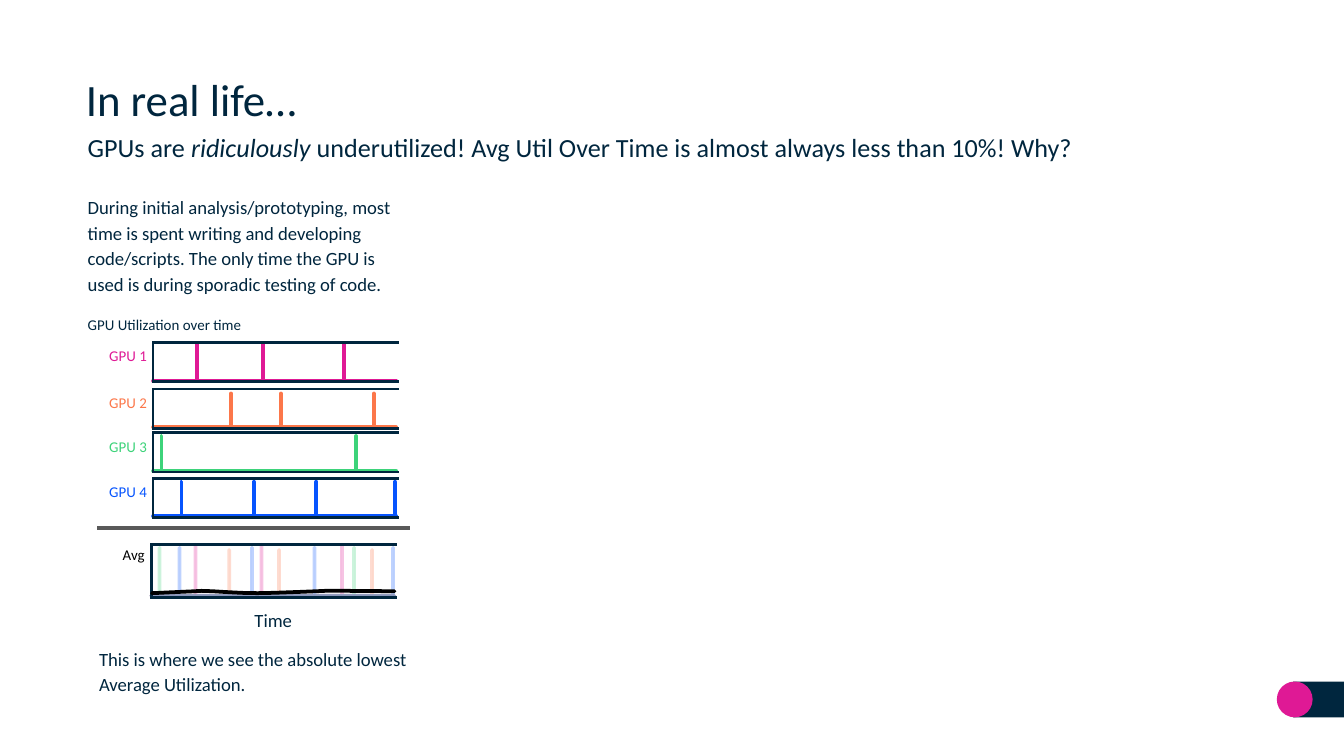
from dataclasses import dataclass

from lxml.etree import SubElement
from pptx import Presentation
from pptx.dml.color import RGBColor
from pptx.enum.shapes import MSO_CONNECTOR, MSO_SHAPE
from pptx.enum.text import MSO_ANCHOR
from pptx.oxml.ns import qn
from pptx.util import Pt


@dataclass(frozen=True)
class Theme:
    font: str = "Calibri"
    navy: str = "00263E"
    pink: str = "DF1995"
    orange: str = "FC774A"
    green: str = "3DD37A"
    blue: str = "0654FE"
    gray: str = "595959"
    black: str = "000000"
    title: float = 24
    subtitle: float = 14
    body: float = 10
    label: float = 8


THEME = Theme()
FRAME_LEFT, FRAME_RIGHT = 82, 213.6
TRACE_RIGHT = 212.2
GPU_HEIGHT = 21
AVERAGE_TOP, AVERAGE_BOTTOM = 291.6, 320
AVERAGE_SHIFT = -1

# Name, colour, frame top, spike height, spike height in the average, spike positions
GPUS = [
    ("GPU 1", THEME.pink, 183.6, 19.4, 27.4, [105.7, 141.1, 184.2]),
    ("GPU 2", THEME.orange, 208.4, 18, 24.6, [123.8, 150.5, 200.3]),
    ("GPU 3", THEME.green, 231.9, 18.7, 25.8, [86.5, 190.7]),
    ("GPU 4", THEME.blue, 256.2, 18.5, 25.8, [97.2, 136, 169.5, 211.6]),
]

# Cubic curves of the average line, each as four control points
AVERAGE_CURVES = [
    [(81.4, 317.8), (90, 317.5), (108, 316.6), (108, 316.6)],
    [(108, 316.6), (118, 316.8), (126.7, 317.9), (138.2, 317.8)],
    [(138.2, 317.8), (149.8, 317.7), (176.4, 316.5), (176.4, 316.5)],
]


def color(value):
    return RGBColor.from_string(value)


def add_text(page, left, top, width, height, spans, size, ink=THEME.navy,
             inset=0.9, spacing=1.15, anchor=MSO_ANCHOR.TOP):
    """Add one paragraph; each span is a (text, italic) pair."""
    box = page.shapes.add_textbox(Pt(left), Pt(top), Pt(width), Pt(height))
    frame = box.text_frame
    frame.word_wrap = True
    frame.vertical_anchor = anchor
    frame.margin_left = frame.margin_right = Pt(inset)
    frame.margin_top = frame.margin_bottom = Pt(inset)
    para = frame.paragraphs[0]
    para.line_spacing = spacing
    for text, italic in spans:
        span = para.add_run()
        span.text = text
        span.font.name = THEME.font
        span.font.size = Pt(size)
        span.font.italic = italic
        span.font.color.rgb = color(ink)


def add_line(page, start, end, ink=THEME.navy, weight=1.5):
    points = [Pt(value) for value in (*start, *end)]
    line = page.shapes.add_connector(MSO_CONNECTOR.STRAIGHT, *points)
    line.line.color.rgb = color(ink)
    line.line.width = Pt(weight)
    SubElement(line._element.spPr, qn("a:effectLst"))


def add_shape(page, kind, left, top, width, height, fill):
    shape = page.shapes.add_shape(kind, Pt(left), Pt(top), Pt(width), Pt(height))
    shape.shadow.inherit = False
    shape.fill.solid()
    shape.fill.fore_color.rgb = color(fill)
    shape.line.fill.background()


def add_path(page, points, ink, filled=True, opacity=100):
    """Add a freeform with rounded strokes; a filled one is also closed."""
    points = [(Pt(x), Pt(y)) for x, y in points]
    builder = page.shapes.build_freeform(*points[0])
    builder.add_line_segments(points[1:], close=filled)
    shape = builder.convert_to_shape()
    shape.shadow.inherit = False
    if filled:
        shape.fill.solid()
        shape.fill.fore_color.rgb = color(ink)
    else:
        shape.fill.background()
    shape.line.color.rgb = color(ink)
    shape.line.width = Pt(2)
    stroke = shape.line._get_or_add_ln()
    stroke.set("cap", "rnd")
    SubElement(stroke, qn("a:round"))
    if opacity < 100:
        for tint in shape._element.spPr.iter(qn("a:srgbClr")):
            SubElement(tint, qn("a:alpha")).set("val", str(opacity * 1000))


def add_spikes(page, base, height, positions, ink, shift=0, opacity=100):
    points = [(FRAME_LEFT + shift, base)]
    for x in positions:
        points += [(x + shift, base), (x + shift, base - height), (x + shift, base)]
    points.append((TRACE_RIGHT + shift, base))
    add_path(page, points, ink, opacity=opacity)


def add_frame(page, top, bottom, shift=0):
    left, right = FRAME_LEFT + shift, FRAME_RIGHT + shift
    add_line(page, (left, top), (left, bottom))
    for y in (bottom, top):
        add_line(page, (right, y), (left - 0.7, y))


def curve_points(controls, steps=8):
    (x0, y0), (x1, y1), (x2, y2), (x3, y3) = controls
    for step in range(steps + 1):
        t = step / steps
        a, b, c, d = (1 - t) ** 3, 3 * t * (1 - t) ** 2, 3 * t * t * (1 - t), t ** 3
        yield a * x0 + b * x1 + c * x2 + d * x3, a * y0 + b * y1 + c * y2 + d * y3


def add_gpu_rows(page):
    for name, ink, top, height, _, positions in GPUS:
        bottom = top + GPU_HEIGHT
        add_text(page, 57.6, top, 29.5, 13, [(name, False)], THEME.label, ink)
        add_spikes(page, bottom - 0.6, height, positions, ink)
        add_frame(page, top, bottom)


def add_average(page):
    for _, ink, _, _, height, positions in GPUS:
        add_spikes(page, AVERAGE_BOTTOM - 0.8, height, positions, ink,
                   AVERAGE_SHIFT, opacity=25)
    add_frame(page, AVERAGE_TOP, AVERAGE_BOTTOM, AVERAGE_SHIFT)
    average = [point for curve in AVERAGE_CURVES for point in curve_points(curve)]
    add_path(page, average + [(211.3, 316.8)], THEME.black, filled=False)
    add_text(page, 64.8, 290.2, 20.9, 13, [("Avg", False)], THEME.label, THEME.black)


def main():
    deck = Presentation()
    deck.slide_width, deck.slide_height = Pt(720), Pt(405)
    page = deck.slides.add_slide(deck.slide_layouts[6])

    # Corner ornament
    add_shape(page, MSO_SHAPE.RECTANGLE, 692.8, 365.1, 27.2, 19.2, THEME.navy)
    add_shape(page, MSO_SHAPE.OVAL, 684, 365.1, 19.2, 19.2, THEME.pink)

    # Headings
    add_text(page, 38.9, 33.1, 644.4, 39.6, [("In real life…", False)], THEME.title,
             inset=7.2, spacing=1, anchor=MSO_ANCHOR.MIDDLE)
    add_text(page, 46.1, 67, 535, 20.9, [
        ("GPUs are ", False),
        ("ridiculously", True),
        (" underutilized! Avg Util Over Time is almost always less than 10%! Why?", False),
    ], THEME.subtitle)

    # Explanation
    add_text(page, 46.1, 102.2, 177.1, 56.9, [(
        "During initial analysis/prototyping, most time is spent writing and "
        "developing code/scripts. The only time the GPU is used is during "
        "sporadic testing of code.", False)], THEME.body)

    # Utilization diagram
    add_text(page, 46.1, 167, 118.8, 13, [("GPU Utilization over time", False)], THEME.label)
    add_gpu_rows(page)
    add_line(page, (52.2, 282.8), (219.6, 282.8), THEME.gray, 2.25)
    add_average(page)
    add_text(page, 135.4, 323.3, 29.5, 15.1, [("Time", False)], THEME.body)

    # Conclusion
    add_text(page, 52.2, 344.2, 167.8, 29.5, [(
        "This is where we see the absolute lowest Average Utilization.", False)], THEME.body)

    deck.save("out.pptx")


if __name__ == "__main__":
    main()
